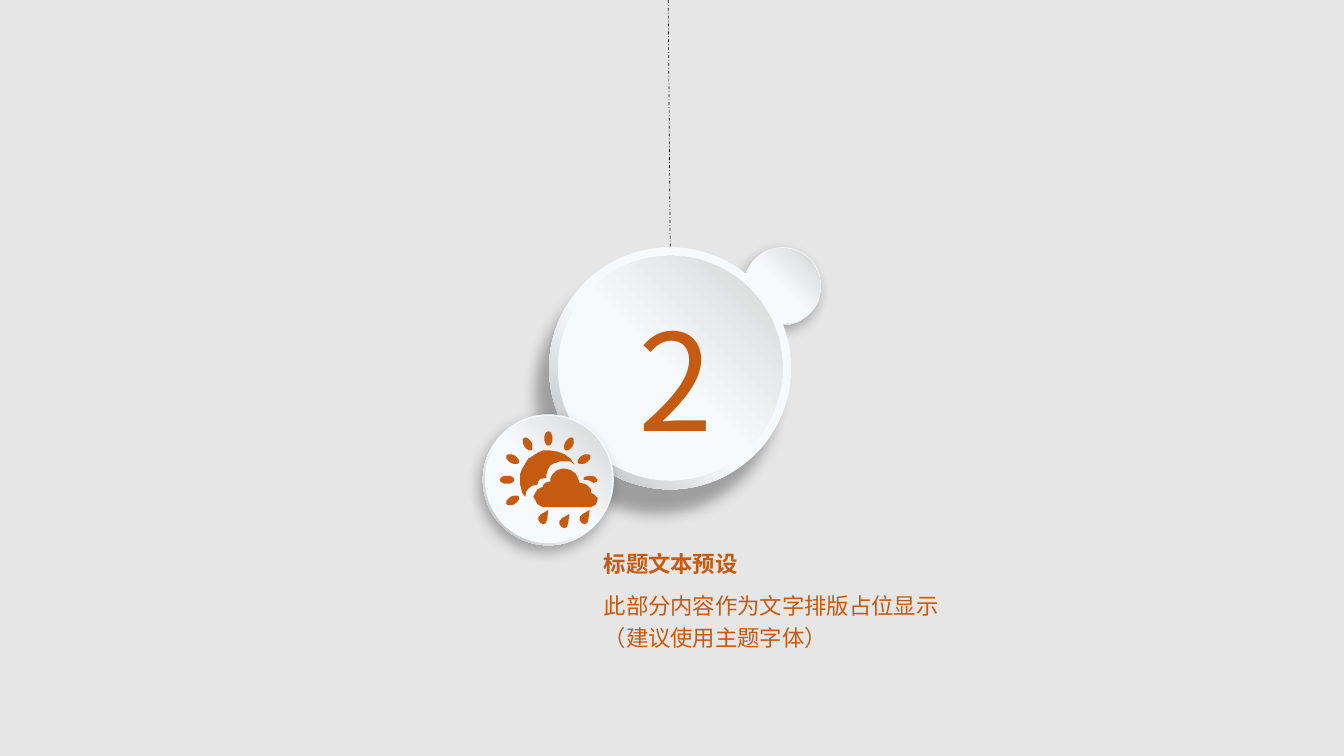
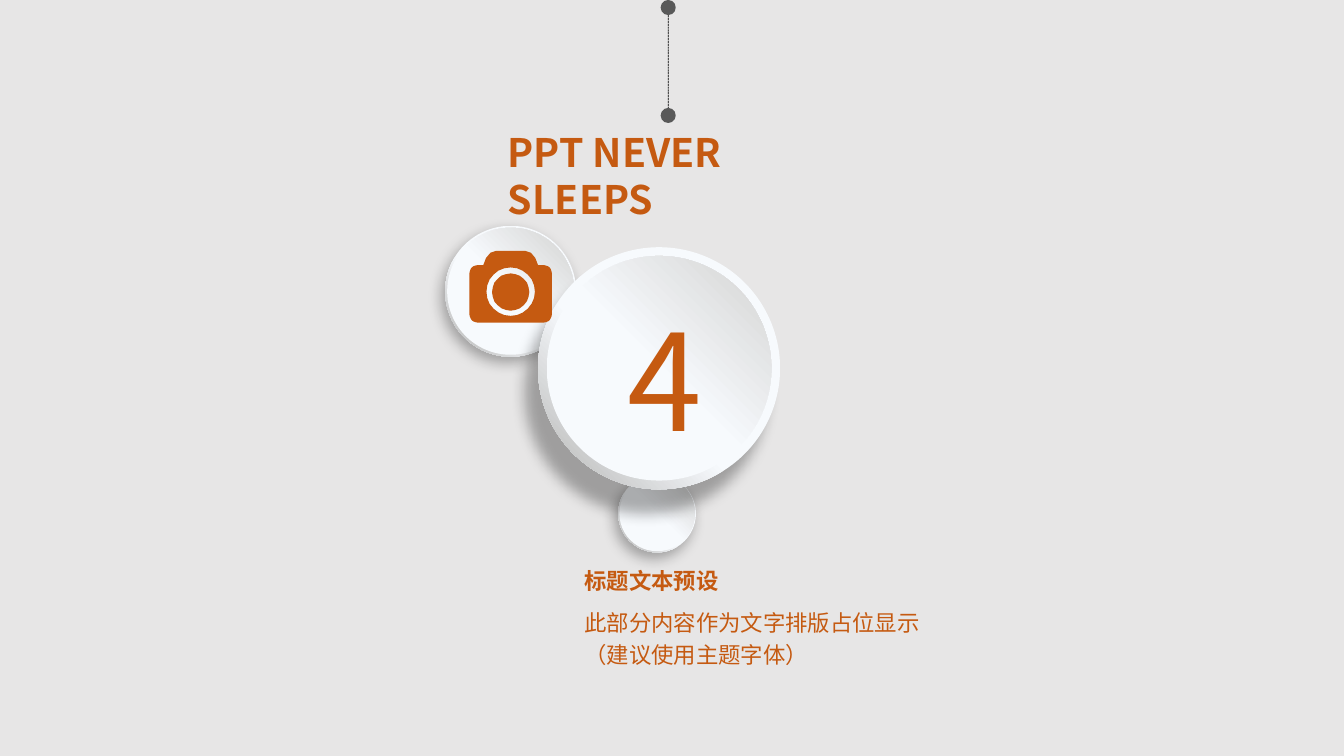
from math import cos, pi, sin

from pptx import Presentation
from pptx.dml.color import RGBColor as RGB
from pptx.enum.dml import MSO_LINE as Dash
from pptx.enum.shapes import MSO_CONNECTOR as Link, MSO_SHAPE as Kind
from pptx.enum.text import MSO_ANCHOR as Anchor, MSO_AUTO_SIZE as Fit, PP_ALIGN as Align
from pptx.oxml import parse_xml
from pptx.oxml.ns import nsdecls, qn
from pptx.util import Cm, Pt

# Style
BACK = RGB(0xE7, 0xE6, 0xE6)
RUST = RGB(0xC5, 0x5A, 0x11)
DARK = RGB(0x59, 0x59, 0x59)
BLACK = RGB(0, 0, 0)
PALE = RGB(0xF7, 0xFA, 0xFD)
SILVER = RGB(0xD9, 0xD9, 0xD9)
GREY = RGB(0xBF, 0xBF, 0xBF)
STEEL = RGB(0xA6, 0xA6, 0xA6)
FACE = "Noto Sans CJK SC"
RIM = ((57, PALE), (92, GREY), (100, STEEL))
DISH = ((49, PALE), (92, SILVER), (100, GREY))

# Disc sizes: diameter and rim width in cm, shadow distance in points
BIG = (6.1, 0.22, 20)
MID = (3.3, 0.05, 5)
SMALL = (1.96, 0.03, 5)

HEAD = "标题文本预设"
NOTE = "此部分内容作为文字排版占位显示\n（建议使用主题字体）"


def xml(tag, attrs="", inner=""):
    return parse_xml(f"<a:{tag} {nsdecls('a')} {attrs}>{inner}</a:{tag}>")


# Icon outlines: hundredths of a cm around the icon centre
def oval(x, y, wide, high, turn=0):
    """Points of a turned ellipse, clockwise from its top."""
    spots = []
    for k in range(24):
        a = k * pi / 12
        dx, dy = wide * sin(a), -high * cos(a)
        spots.append((round(x + dx * cos(turn) - dy * sin(turn)),
                      round(y + dx * sin(turn) + dy * cos(turn))))
    return spots


def weather():
    cloud = [(81, 8), (91, 10), (99, 15), (107, 23), (107, 33), (114, 36),
             (124, 46), (124, 51), (119, 63), (107, 69), (-13, 69), (-20, 66),
             (-28, 61), (-33, 51), (-38, 43), (-33, 33), (-28, 25), (-20, 20),
             (-13, 18), (-13, 13), (-8, 8), (0, 5), (5, 5), (5, -3), (10, -13),
             (20, -23), (33, -28), (41, -28), (56, -25), (69, -15), (74, -5), (79, 8)]
    sun = [(-5, -5), (-13, -3), (-20, -3), (-25, 3), (-28, 13), (-41, 15),
           (-51, 23), (-56, 30), (-58, 43), (-66, 33), (-71, 13), (-71, -15),
           (-66, -28), (-58, -41), (-51, -53), (-38, -61), (-25, -69), (-13, -74),
           (3, -74), (23, -71), (41, -64), (56, -53), (66, -38), (56, -46),
           (41, -46), (28, -46), (20, -43), (13, -41), (5, -36), (0, -28),
           (-3, -20), (-5, -13)]
    stub = [(114, 8), (109, 5), (99, 0), (89, 0), (89, -5), (94, -8),
            (107, -10), (117, -8), (124, 0), (122, 5)]
    drop = [(0, 76), (-3, 99), (-6, 109), (-13, 112), (-20, 109),
            (-25, 102), (-25, 94), (-18, 86), (-13, 84)]
    turns = [k * pi / 6 for k in range(-4, 3)]
    rays = [oval(104 * sin(a), -104 * cos(a), 10, 18, a) for a in turns]
    rain = [[(x + dx, y + dy) for x, y in drop]
            for dx, dy in ((0, 0), (53, 10), (104, 0))]
    return [cloud, sun, stub, *rays, *rain]


def camera():
    half = [(36, -102), (51, -97), (62, -84), (69, -66),
            *oval(83, -45, 21, 21)[:7], *oval(83, 58, 21, 21)[6:13]]
    body = half + [(-x, y) for x, y in reversed(half)]
    return [body, oval(0, 1, 61, 61), oval(0, 2, 47, 47)]


class Deck:
    def __init__(self):
        self.prs = Presentation()
        self.prs.slide_width, self.prs.slide_height = Cm(33.87), Cm(19.05)
        fill = self.prs.slide_master.background.fill
        fill.solid()
        fill.fore_color.rgb = BACK

    def page(self):
        self.slide = self.prs.slides.add_slide(self.prs.slide_layouts[1])
        self.shapes = self.slide.shapes

    def place(self, shape, *box):
        for key, val in zip(("left", "top", "width", "height"), box):
            setattr(shape, key, Cm(val))

    def say(self, shape, text, size, bold=False, para=None, **frame):
        tf = shape.text_frame
        form = {"word_wrap": True, "auto_size": Fit.NONE,
                "vertical_anchor": Anchor.TOP, **frame}
        for key, val in form.items():
            setattr(tf, key, val)
        p = tf.paragraphs[0]
        p.text = text
        form = {"alignment": Align.LEFT, "space_before": Pt(0), **(para or {})}
        for key, val in form.items():
            setattr(p, key, val)
        for run in p.runs:
            for key, val in {"name": FACE, "size": Pt(size), "bold": bold}.items():
                setattr(run.font, key, val)
            run.font.color.rgb = RUST
            run.font._element.append(xml("ea", f'typeface="{FACE}"'))

    def label(self, text, box, size, **form):
        self.say(self.shapes.add_textbox(*map(Cm, box)), text, size, **form)

    def caption(self, x, y):
        """Heading with its note below, in the layout's placeholders."""
        head, note = self.shapes.title, self.slide.placeholders[1]
        self.place(head, x, y, 9.93, 0.91)
        self.say(head, HEAD, 16, bold=True, vertical_anchor=Anchor.MIDDLE)
        self.place(note, x, y + 0.91, 9.93, 1.35)
        pPr = note.text_frame.paragraphs[0]._p.get_or_add_pPr()
        pPr.set("marL", "0")
        pPr.set("indent", "0")
        pPr.append(xml("buNone"))
        self.say(note, NOTE, 16, para={"line_spacing": 1.2})

    def plain(self, shape):
        shape.shadow.inherit = False
        shape.line.fill.background()
        return shape

    def round(self, x, y, size):
        spot = self.shapes.add_shape(Kind.OVAL, Cm(x), Cm(y), Cm(size), Cm(size))
        return self.plain(spot)

    def paint(self, shape, color):
        shape.fill.solid()
        shape.fill.fore_color.rgb = color

    def shade(self, shape, stops, angle):
        shape.fill.gradient()
        shape.fill.gradient_angle = angle
        ramp = shape._element.spPr.find(".//" + qn("a:gsLst"))
        for old in list(ramp):
            ramp.remove(old)
        for pos, color in stops:
            ramp.append(xml("gs", f'pos="{pos * 1000}"',
                            f'<a:srgbClr val="{color}"/>'))

    def disc(self, x, y, kind):
        """Raised dish with a shaded rim; returns the rim."""
        size, gap, dist = kind
        rim = self.round(x, y, size)
        self.shade(rim, RIM, 225)
        rim._element.spPr.find(qn("a:effectLst")).append(xml(
            "outerShdw",
            f'blurRad="{Pt(10)}" dist="{Pt(dist)}" dir="{120 * 60000}" '
            'algn="ctr" rotWithShape="0"',
            f'<a:srgbClr val="{BLACK}"><a:alpha val="31000"/></a:srgbClr>'))
        self.shade(self.round(x + gap, y + gap, size - 2 * gap), DISH, 45)
        return rim

    def number(self, x, y, text):
        rim = self.disc(x, y, BIG)
        self.label(text, (x + 2.01, y + 1.12, 2.06, 4.37), 96,
                   para={"alignment": Align.CENTER})
        return rim

    def icon(self, x, y, outlines):
        """Outlines centred on the middle disc at x, y."""
        mid = MID[0] / 2
        pen = self.shapes.build_freeform(*outlines[0][0], scale=Cm(0.01))
        for k, line in enumerate(outlines):
            if k:
                pen.move_to(*line[0])
            pen.add_line_segments(line[1:], close=True)
        self.paint(self.plain(pen.convert_to_shape(Cm(x + mid), Cm(y + mid))), RUST)

    def dot(self, x, y):
        spot = self.round(x, y, 0.38)
        self.paint(spot, DARK)
        return spot

    def thread(self, x, y, goal, dash):
        """Dashed line from a point to the top of a round shape."""
        line = self.shapes.add_connector(Link.STRAIGHT, Cm(x), Cm(y), Cm(x), Cm(y))
        line.end_connect(goal, 0)
        for key, val in {"width": Pt(0.5), "dash_style": dash}.items():
            setattr(line.line, key, val)
        line.line.color.rgb = BLACK
        line._element.spPr.append(xml("effectLst"))


def main():
    deck = Deck()

    # Section 2
    deck.page()
    deck.disc(18.74, 6.23, SMALL)
    rim = deck.number(13.84, 6.23, "2")
    deck.disc(12.17, 10.44, MID)
    deck.icon(12.17, 10.44, weather())
    deck.caption(14.96, 13.74)
    deck.thread(16.84, 0, rim, Dash.DASH_DOT)

    # Section 4
    deck.page()
    deck.disc(11.22, 5.69, MID)
    deck.disc(15.58, 11.96, SMALL)
    deck.number(13.56, 6.23, "4")
    deck.icon(11.22, 5.69, camera())
    deck.label("PPT NEVER SLEEPS", (12.55, 3.1, 8.56, 1.45), 28, bold=True)
    deck.dot(16.65, 0)
    low = deck.dot(16.65, 2.72)
    deck.thread(16.84, 0.38, low, Dash.SQUARE_DOT)
    deck.caption(14.48, 14.17)

    deck.prs.save("out.pptx")


if __name__ == "__main__":
    main()
